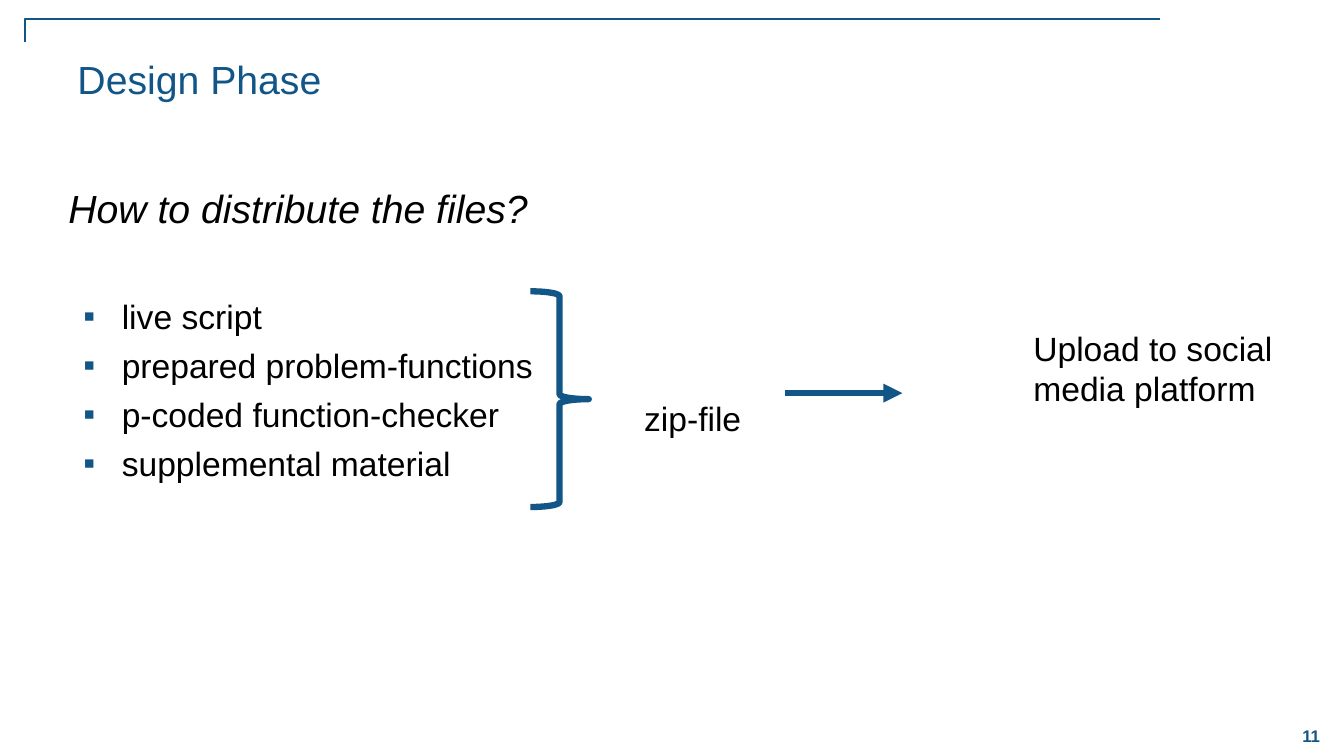
import pptx
import pptx.dml.color
import pptx.enum.shapes
import pptx.enum.text
import pptx.oxml.ns
import pptx.util
from lxml import etree

Inches = pptx.util.Inches
Pt = pptx.util.Pt
BLUE = pptx.dml.color.RGBColor(0x12, 0x56, 0x87)
BLACK = pptx.dml.color.RGBColor(0, 0, 0)
FONT = "Arial"


def add_xml(parent, tag, **attributes):
    element = etree.SubElement(parent, pptx.oxml.ns.qn(tag))
    for name, value in attributes.items():
        element.set(name, value)
    return element


def add_bullet(para):
    properties = para._p.get_or_add_pPr()
    indent = Inches(0.38)
    properties.set("marL", str(indent))
    properties.set("indent", str(-indent))
    color = add_xml(properties, "a:buClr")
    add_xml(color, "a:srgbClr", val=str(BLUE))
    add_xml(properties, "a:buFont", typeface=FONT)
    add_xml(properties, "a:buChar", char="▪")


def add_text(page, left, top, width, height, lines, size=24, color=BLACK,
             bold=False, italic=False, bullets=False):
    box = page.shapes.add_textbox(
        Inches(left), Inches(top), Inches(width), Inches(height))
    frame = box.text_frame
    frame.word_wrap = True
    frame.text = "\n".join(lines)
    for index, para in enumerate(frame.paragraphs):
        if bullets:
            add_bullet(para)
        if index:
            para.space_before = Pt(6)
        for span in para.runs:
            span.font.name = FONT
            span.font.size = Pt(size)
            span.font.color.rgb = color
            span.font.bold = bold
            span.font.italic = italic
    return frame


def style_outline(shape, width):
    shape.line.color.rgb = BLUE
    shape.line.width = Pt(width)


def add_corner_line(page):
    builder = page.shapes.build_freeform(Inches(11.51), Inches(0.19))
    builder.add_line_segments(
        [(Inches(0.25), Inches(0.19)), (Inches(0.25), Inches(0.42))],
        close=False)
    corner = builder.convert_to_shape()
    corner.shadow.inherit = False
    corner.fill.background()
    style_outline(corner, 1)


def add_brace(page, left, top, width, height):
    brace = page.shapes.add_shape(
        pptx.enum.shapes.MSO_SHAPE.RIGHT_BRACE,
        Inches(left), Inches(top), Inches(width), Inches(height))
    brace.shadow.inherit = False
    brace.fill.background()
    style_outline(brace, 4.5)


def add_arrow(page, start, end, top):
    arrow = page.shapes.add_connector(
        pptx.enum.shapes.MSO_CONNECTOR.STRAIGHT,
        Inches(start), Inches(top), Inches(end), Inches(top))
    style_outline(arrow, 4.5)
    add_xml(arrow.line._get_or_add_ln(), "a:tailEnd", type="triangle")
    add_xml(arrow._element.spPr, "a:effectLst")


def main():
    deck = pptx.Presentation()
    deck.slide_width = Inches(13.33)
    deck.slide_height = Inches(7.5)
    page = deck.slides.add_slide(deck.slide_layouts[6])

    # Frame line and page number
    add_corner_line(page)
    number = add_text(page, 12.67, 7.09, 0.67, 0.42, ["11"],
                      size=12, color=BLUE, bold=True)
    number.vertical_anchor = pptx.enum.text.MSO_ANCHOR.MIDDLE
    number.paragraphs[0].alignment = pptx.enum.text.PP_ALIGN.CENTER

    # Title and question
    add_text(page, 0.67, 0.5, 11.78, 0.67, ["Design Phase"],
             size=28, color=BLUE)
    add_text(page, 0.58, 1.78, 10.42, 0.67, ["How to distribute the files?"],
             size=28, italic=True)

    # Files gathered into one archive, then uploaded
    files = ["live script", "prepared problem-functions",
             "p-coded function-checker", "supplemental material"]
    add_text(page, 0.73, 2.89, 5.37, 2.14, files, bullets=True)
    add_brace(page, 5.26, 2.89, 0.58, 2.14)
    add_text(page, 6.29, 3.9, 1.17, 0.53, ["zip-file"])
    add_arrow(page, 7.79, 8.95, 3.9)
    add_text(page, 10.15, 3.2, 2.92, 0.92, ["Upload to social media platform"])

    deck.save("out.pptx")


if __name__ == "__main__":
    main()
